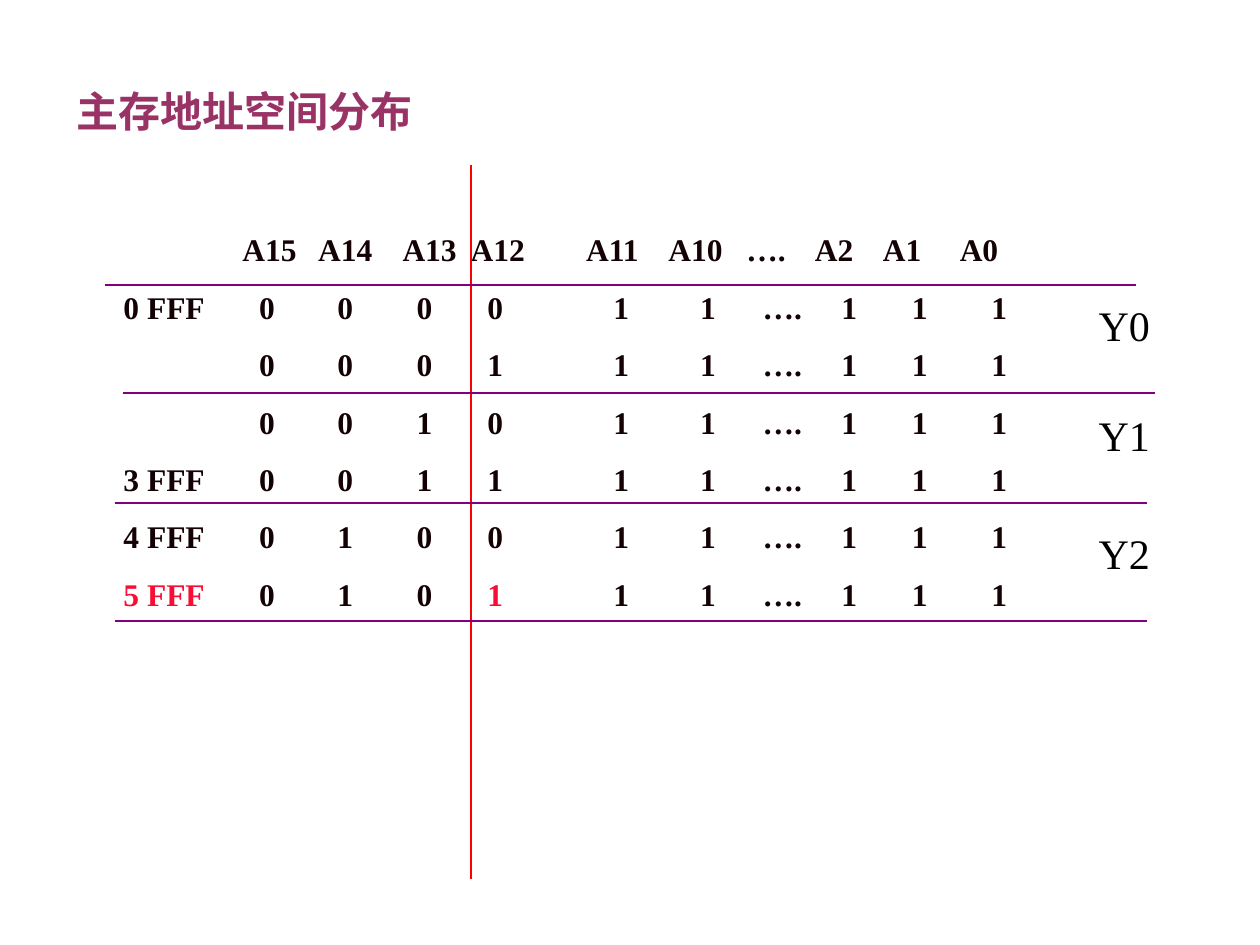
from pptx import Presentation
from pptx.dml.color import RGBColor
from pptx.enum.shapes import MSO_CONNECTOR
from pptx.enum.text import MSO_ANCHOR, PP_ALIGN
from pptx.oxml.ns import qn
from pptx.util import Inches, Pt
from lxml.etree import SubElement

# Content
TITLE = "主存地址空间分布"
HEAD = ["", "A15", "A14", "A13", "A12", "A11", "A10", "….", "A2", "A1", "A0"]
ROWS = [  # label, bits A15 to A12
    ("0 FFF", "0000"),
    ("", "0001"),
    ("", "0010"),
    ("3 FFF", "0011"),
    ("4 FFF", "0100"),
    ("5 FFF", "0101"),
]
TAIL = ["1", "1", "….", "1", "1", "1"]
HOT = {(6, 0), (6, 4)}  # row and column of the marked cells
BANDS = [("Y0", 2.33), ("Y1", 3.2), ("Y2", 4.14)]
RULES = [(0.83, 2.26), (0.98, 3.12), (0.91, 3.99), (0.91, 4.93)]
SPAN = 8.19

# Column centres, from the left edge of the text
HEADTABS = [1.16, 1.76, 2.43, 2.97, 3.88, 4.54, 5.1, 5.64, 6.18, 6.79]
BITTABS = [1.14, 1.76, 2.39, 2.95, 3.95, 4.64, 5.23, 5.76, 6.32, 6.95]

THEME = {
    "font": "Times New Roman", "cjk": "Noto Sans CJK SC",
    "title": "993366", "ink": "130104", "hot": "F60E35",
    "black": "000000", "rule": "800080", "split": "FF0000",
    "big": 24, "body": 18,
}


def color(key):
    return RGBColor.from_string(THEME[key])


def style(para, size, ink, bold=False, face="font"):
    font = para.font
    font.name, font.size, font.bold = THEME[face], Pt(THEME[size]), bold
    font.color.rgb = color(ink)


def add_tabs(para, stops):
    props = para._p.get_or_add_pPr()
    tabs = SubElement(props, qn("a:tabLst"))
    for stop in stops:
        SubElement(tabs, qn("a:tab"), pos=str(Inches(stop)), algn="ctr")


def add_box(slide, left, top, width, height):
    frame = slide.shapes.add_textbox(
        Inches(left), Inches(top), Inches(width), Inches(height)).text_frame
    frame.word_wrap = True
    return frame


def add_line(slide, x1, y1, x2, y2, ink):
    line = slide.shapes.add_connector(
        MSO_CONNECTOR.STRAIGHT, *map(Inches, (x1, y1, x2, y2)))
    line.line.color.rgb = color(ink)
    line.line.width = Pt(1)
    SubElement(line._element.spPr, qn("a:effectLst"))


def add_title(slide):
    title = slide.shapes.title
    title.left, title.top = Inches(0.51), Inches(0.39)
    title.width, title.height = Inches(8.5), Inches(0.74)
    frame = title.text_frame
    frame.text = TITLE
    frame.vertical_anchor = MSO_ANCHOR.BOTTOM
    para = frame.paragraphs[0]
    para.alignment = PP_ALIGN.LEFT
    style(para, "big", "title", True, "cjk")
    run = para.runs[0]._r.get_or_add_rPr()
    SubElement(run, qn("a:ea"), typeface=THEME["cjk"])


def add_grid(slide):
    frame = add_box(slide, 0.83, 1.78, 8.51, 3.6)
    frame.margin_left = Inches(0.15)
    lines = [HEAD] + [[label, *bits, *TAIL] for label, bits in ROWS]
    for row, cells in enumerate(lines):
        para = frame.add_paragraph() if row else frame.paragraphs[0]
        if row:
            para.space_before = Pt(11.2)
        add_tabs(para, BITTABS if row else HEADTABS)
        style(para, "body", "ink", True)
        for col, cell in enumerate(cells):
            run = para.add_run()
            run.text = "\t" + cell if col else cell
            if (row, col) in HOT:
                run.font.color.rgb = color("hot")


def main():
    deck = Presentation()
    deck.slide_width, deck.slide_height = Inches(10), Inches(7.5)
    slide = deck.slides.add_slide(deck.slide_layouts[5])
    add_title(slide)
    add_grid(slide)

    # Split between decoded and direct address bits, then band rules
    add_line(slide, 3.74, 1.31, 3.74, 6.98, "split")
    for left, top in RULES:
        add_line(slide, left, top, left + SPAN, top, "rule")

    # Band names
    for name, top in BANDS:
        frame = add_box(slide, 8.62, top, 1.02, 0.5)
        frame.text = name
        style(frame.paragraphs[0], "big", "black")

    deck.save("out.pptx")


if __name__ == "__main__":
    main()
